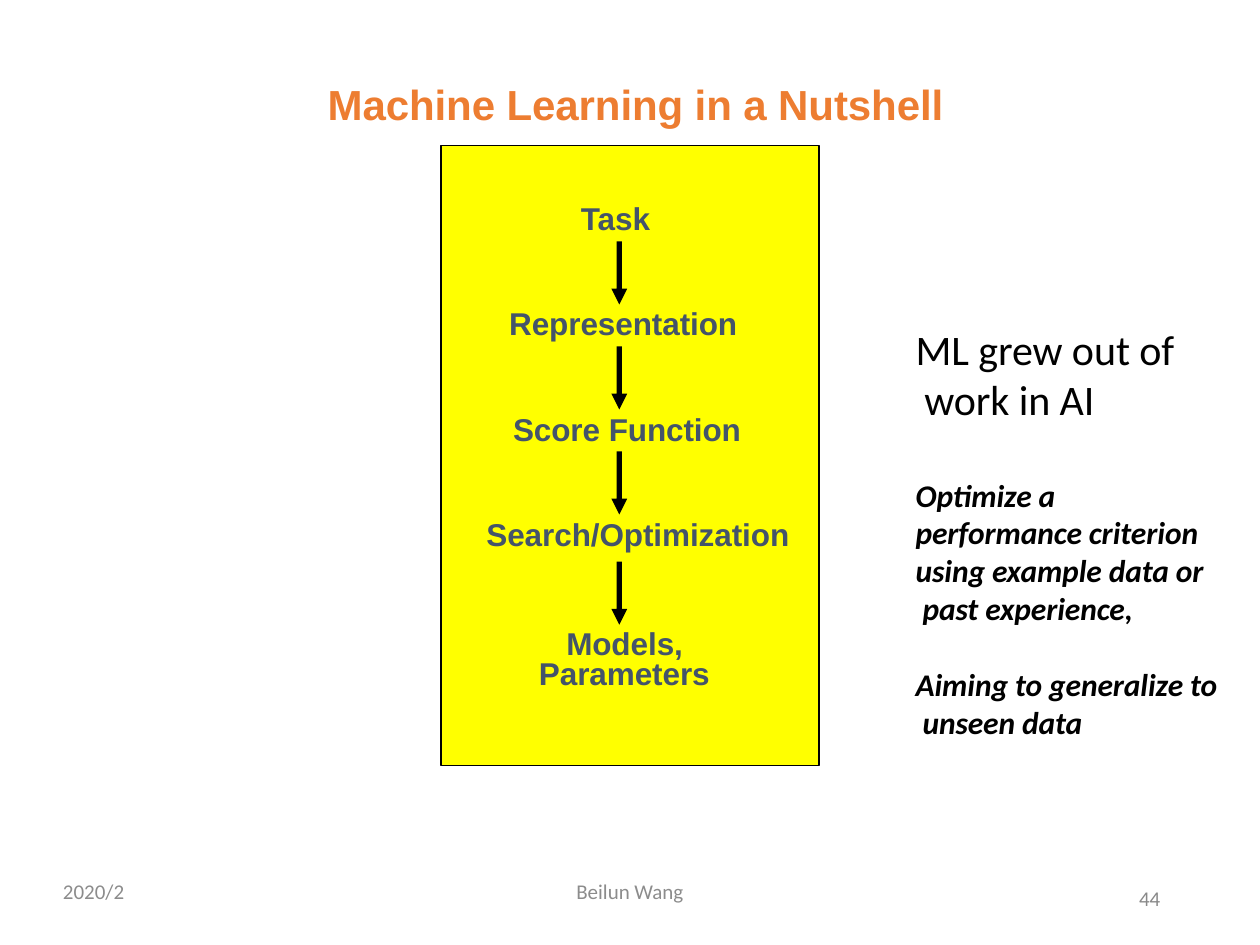
from dataclasses import dataclass

import pptx
import pptx.dml.color
import pptx.enum.shapes
import pptx.enum.text
import pptx.util

Pt = pptx.util.Pt
RGB = pptx.dml.color.RGBColor
Align = pptx.enum.text.PP_ALIGN


@dataclass(frozen=True)
class TextStyle:
    font: str
    size: float
    color: str
    bold: bool = False
    italic: bool = False
    tracking: float = 0


@dataclass(frozen=True)
class Theme:
    panel: str = "FFFF00"
    ink: str = "000000"
    title: TextStyle = TextStyle("Arial", 24, "ED7D31", bold=True, tracking=-0.05)
    step: TextStyle = TextStyle("Arial", 18, "44546A", bold=True, tracking=-0.05)
    lead: TextStyle = TextStyle("Calibri", 24, "000000", tracking=-0.05)
    note: TextStyle = TextStyle("Calibri", 18, "000000", bold=True, italic=True, tracking=-0.05)
    footer: TextStyle = TextStyle("Calibri", 12, "8C8C8C")
    number: TextStyle = TextStyle("Calibri", 12, "898989")


@dataclass(frozen=True)
class Line:
    text: str
    left: float = 0
    first: float = 0
    before: float = 0
    spacing: float | None = None


@dataclass(frozen=True)
class Label:
    left: float
    top: float
    width: float
    height: float
    style: TextStyle
    lines: tuple[Line, ...]
    inset: float = 0
    align: Align = Align.LEFT


THEME = Theme()
ARROW_X = 353.9
ARROW_LENGTH = 36
HEAD_LENGTH = 9
HEAD_HALF = 4.5
SHAFT_HALF = 1.5
ARROW_TOPS = (138, 198, 258, 321)
STEP_GAP = 38.7

STEPS = (
    Line("Task", left=80),
    Line("Representation", left=39, before=STEP_GAP),
    Line("Score Function", left=41.2, before=STEP_GAP),
    Line("Search/Optimization", left=26, before=STEP_GAP),
    Line("Models,\nParameters", left=56, first=15.6, before=45, spacing=17),
)

LABELS = (
    Label(186.5, 44, 355, 31, THEME.title,
          (Line("Machine Learning in a Nutshell", left=0.8),), inset=0.8),
    Label(522, 184.3, 150.5, 60, THEME.lead,
          (Line("ML grew out of work in AI", left=6.2, first=-5),), inset=0.5),
    Label(522, 270.7, 168, 89, THEME.note,
          (Line("Optimize a performance criterion using example data or", left=1.2),
           Line("past experience,", left=5.2)), inset=1.1),
    Label(522, 378.7, 176, 46, THEME.note,
          (Line("Aiming to generalize to unseen data", left=5.2, first=-4),), inset=1.5),
    Label(36, 502, 165.6, 14.4, THEME.footer, (Line("2020/2"),)),
    Label(244.8, 502, 230.4, 14.4, THEME.footer, (Line("Beilun Wang"),), align=Align.CENTER),
    Label(648, 506.2, 18, 16.6, THEME.number, (Line("44", left=2.9),)),
)


def add_span(para, text: str, style: TextStyle) -> None:
    span = para.add_run()
    span.text = text
    span.font.name = style.font
    span.font.size = Pt(style.size)
    span.font.bold = style.bold
    span.font.italic = style.italic
    span.font.color.rgb = RGB.from_string(style.color)
    if style.tracking:
        span._r.get_or_add_rPr().set("spc", str(round(style.tracking * 100)))


def write_lines(frame, lines: tuple[Line, ...], style: TextStyle,
                inset: float, align: Align) -> None:
    frame.word_wrap = True
    frame.vertical_anchor = pptx.enum.text.MSO_ANCHOR.TOP
    frame.margin_left = frame.margin_right = frame.margin_bottom = 0
    frame.margin_top = Pt(inset)
    for index, line in enumerate(lines):
        para = frame.add_paragraph() if index else frame.paragraphs[0]
        para.alignment = align
        para.space_before = Pt(line.before)
        if line.spacing:
            para.line_spacing = Pt(line.spacing)
        properties = para._p.get_or_add_pPr()
        properties.set("marL", str(int(Pt(line.left))))
        properties.set("indent", str(int(Pt(line.first))))
        for row, text in enumerate(line.text.split("\n")):
            if row:
                para.add_line_break()
            add_span(para, text, style)


def add_label(page, label: Label) -> None:
    box = page.shapes.add_textbox(
        Pt(label.left), Pt(label.top), Pt(label.width), Pt(label.height))
    write_lines(box.text_frame, label.lines, label.style, label.inset, label.align)


def add_panel(page) -> None:
    panel = page.shapes.add_shape(
        pptx.enum.shapes.MSO_SHAPE.RECTANGLE, Pt(252), Pt(83), Pt(216), Pt(354.3))
    panel.shadow.inherit = False
    panel.fill.solid()
    panel.fill.fore_color.rgb = RGB.from_string(THEME.panel)
    panel.line.color.rgb = RGB.from_string(THEME.ink)
    panel.line.width = Pt(0.75)
    write_lines(panel.text_frame, STEPS, THEME.step, 30.6, Align.LEFT)


def add_arrow(page, top: float) -> None:
    neck, tip = top + ARROW_LENGTH - HEAD_LENGTH, top + ARROW_LENGTH
    right_side = ((SHAFT_HALF, top), (SHAFT_HALF, neck), (HEAD_HALF, neck))
    left_side = tuple((-offset, y) for offset, y in reversed(right_side))
    outline = [(Pt(ARROW_X + offset), Pt(y))
               for offset, y in (*right_side, (0, tip), *left_side)]
    builder = page.shapes.build_freeform(*outline[0])
    builder.add_line_segments(outline[1:], close=True)
    arrow = builder.convert_to_shape()
    arrow.shadow.inherit = False
    arrow.fill.solid()
    arrow.fill.fore_color.rgb = RGB.from_string(THEME.ink)
    arrow.line.fill.background()


def main() -> None:
    deck = pptx.Presentation()
    deck.slide_width, deck.slide_height = Pt(720), Pt(540)
    page = deck.slides.add_slide(deck.slide_layouts[6])
    add_panel(page)
    for top in ARROW_TOPS:
        add_arrow(page, top)
    for label in LABELS:
        add_label(page, label)
    deck.save("out.pptx")


if __name__ == "__main__":
    main()
